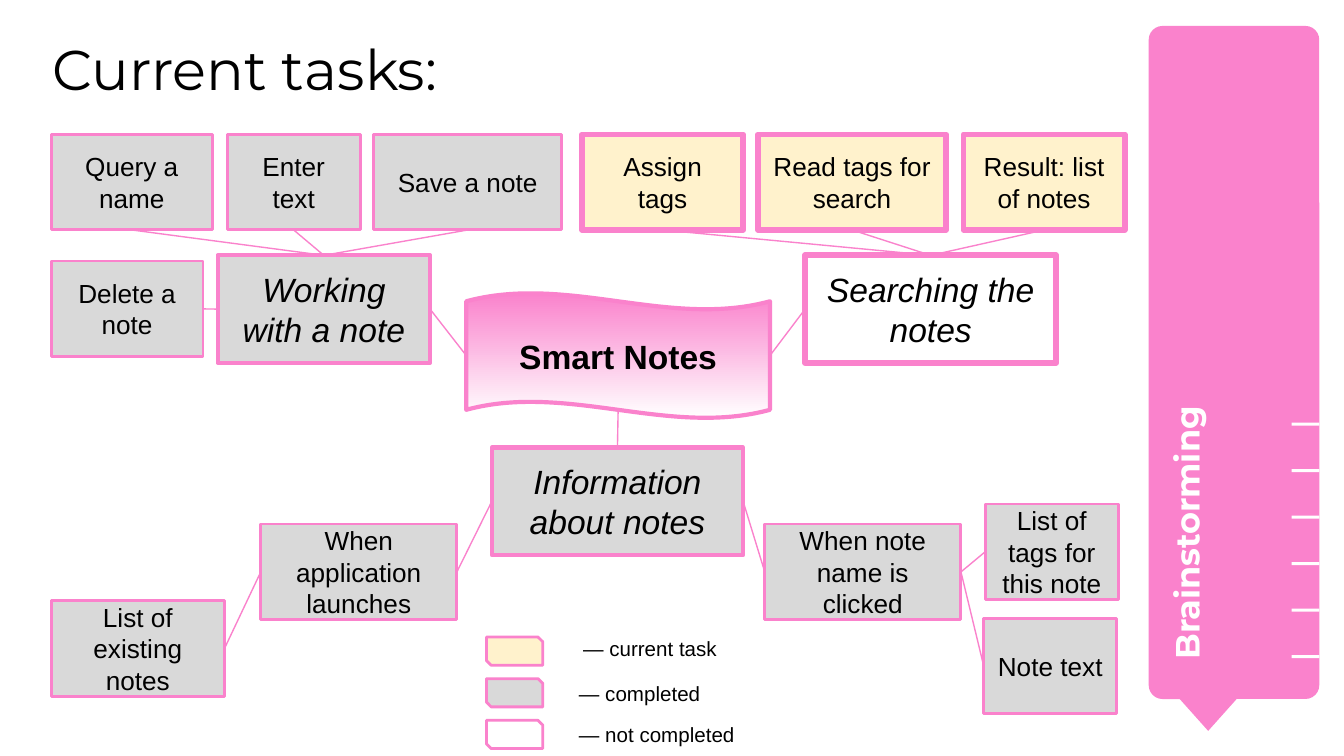
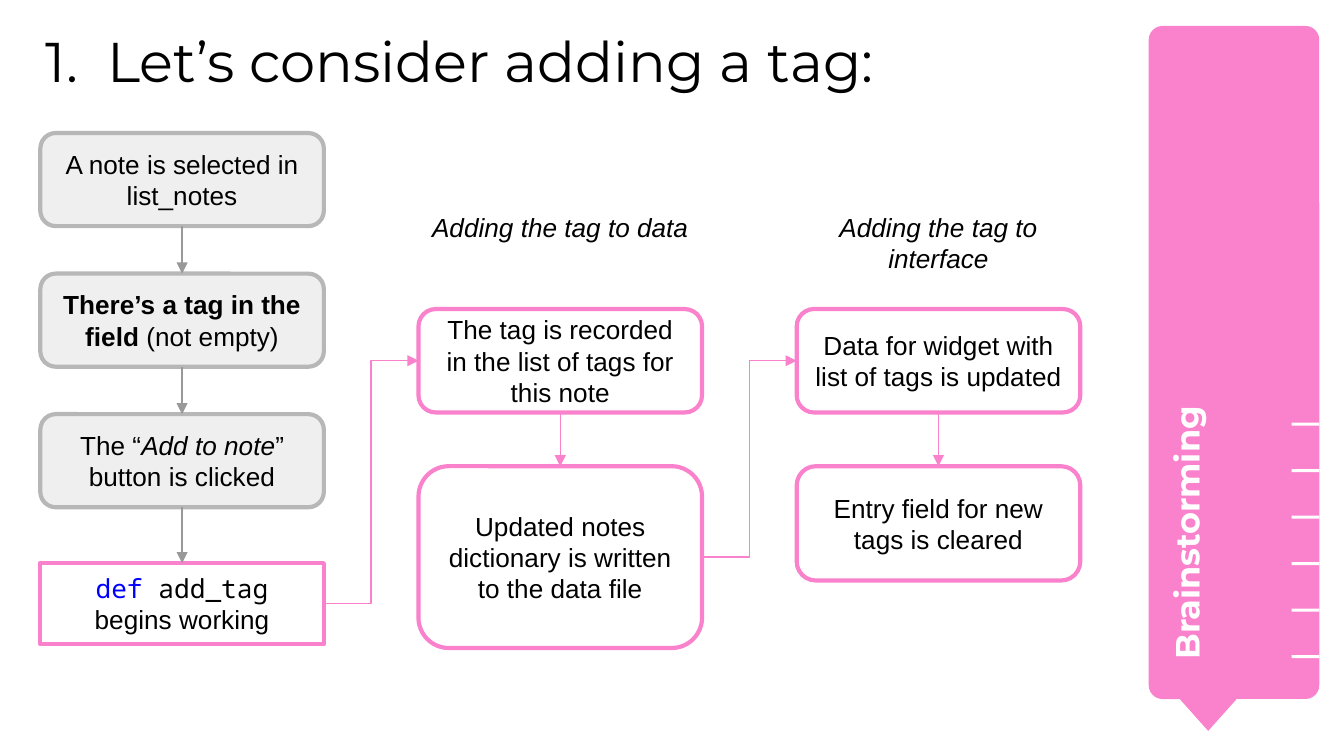
from lxml import etree
from pptx import Presentation
from pptx.dml.color import RGBColor
from pptx.enum.shapes import MSO_CONNECTOR, MSO_SHAPE
from pptx.enum.text import MSO_ANCHOR, MSO_AUTO_SIZE, PP_ALIGN
from pptx.oxml.ns import qn
from pptx.util import Pt

RECT, ROUND = MSO_SHAPE.RECTANGLE, MSO_SHAPE.ROUNDED_RECTANGLE
WAVE, SNIPPED = MSO_SHAPE.WAVE, MSO_SHAPE.SNIP_2_DIAG_RECTANGLE
PROCESS, POINTER = MSO_SHAPE.FLOWCHART_ALTERNATE_PROCESS, MSO_SHAPE.FLOWCHART_MERGE
STRAIGHT, ELBOW = MSO_CONNECTOR.STRAIGHT, MSO_CONNECTOR.ELBOW
LEFT, CENTER = PP_ALIGN.LEFT, PP_ALIGN.CENTER
TOP, MIDDLE = MSO_ANCHOR.TOP, MSO_ANCHOR.MIDDLE
NO_FIT = MSO_AUTO_SIZE.NONE

PINK, WHITE, BLACK, BLUE = "FA82CC", "FFFFFF", "000000", "0000FF"
DONE, CURRENT, OPEN = "D9D9D9", "FFF2CC", WHITE
STEP_FILL, STEP_EDGE, STEP_ARROW = "EFEFEF", "B7B7B7", "999999"
BODY_FONT, HEAD_FONT, CODE_FONT = "Arial", "Montserrat", "Noto Sans Mono"

# Connection sites of a box
AT_TOP, AT_LEFT, AT_BOTTOM, AT_RIGHT = range(4)


def draw(shapes, kind, at, text="", fill=None, line=None, weight=1.5, adjust=(),
         size=14, font=BODY_FONT, color=BLACK, bold=False, italic=False,
         align=CENTER, anchor=MIDDLE, inset=7.2):
    """Draw a preset shape, a text box (kind None) or the title placeholder."""
    left, top, width, height = map(Pt, at)
    if kind == "title":
        shape = shapes.title
        shape.left, shape.top, shape.width, shape.height = left, top, width, height
    elif kind is None:
        shape = shapes.add_textbox(left, top, width, height)
    else:
        shape = shapes.add_shape(kind, left, top, width, height)
        shape.shadow.inherit = False
        for index, value in enumerate(adjust):
            shape.adjustments[index] = value
        if fill:
            shape.fill.solid()
            shape.fill.fore_color.rgb = RGBColor.from_string(fill)
        if line:
            shape.line.color.rgb = RGBColor.from_string(line)
            shape.line.width = Pt(weight)
        else:
            shape.line.fill.background()
    if text:
        frame = shape.text_frame
        frame.word_wrap, frame.auto_size = True, NO_FIT
        frame.vertical_anchor = anchor
        frame.margin_left = frame.margin_right = Pt(inset)
        frame.margin_top = frame.margin_bottom = Pt(inset)
        paragraph = frame.paragraphs[0]
        paragraph.alignment = align
        base = dict(font=font, color=color, bold=bold, italic=italic)
        for words, changes in [(text, {})] if isinstance(text, str) else text:
            style = {**base, **changes}
            run = paragraph.add_run()
            run.text = words
            run.font.size, run.font.name = Pt(size), style["font"]
            run.font.bold, run.font.italic = style["bold"], style["italic"]
            run.font.color.rgb = RGBColor.from_string(style["color"])
    return shape


def link(shapes, start, start_site, end, end_site,
         kind=STRAIGHT, color=PINK, weight=0.75, arrow=False):
    """Join two boxes at the given connection sites."""
    connector = shapes.add_connector(kind, 0, 0, 0, 0)
    connector.begin_connect(start, start_site)
    connector.end_connect(end, end_site)
    connector.line.color.rgb = RGBColor.from_string(color)
    connector.line.width = Pt(weight)
    if arrow:
        etree.SubElement(connector.line._get_or_add_ln(), qn("a:tailEnd"), type="triangle")
    etree.SubElement(connector._element.spPr, qn("a:effectLst"))
    return connector


deck = Presentation()
deck.slide_width, deck.slide_height = Pt(720), Pt(405)
title_only = deck.slide_layouts[5]

# Shared by both slides: pink band with ticks, and the title
pages = []
for heading, place in [("Current tasks:", (28, 18.7, 572, 49.7)),
                       ("Let’s consider adding a tag:", (21.6, 14.4, 581, 49.7))]:
    shapes = deck.slides.add_slide(title_only).shapes
    band = shapes.add_group_shape().shapes
    draw(band, ROUND, (615.4, 13.9, 91.4, 360.6), fill=PINK, adjust=[0.081])
    draw(band, POINTER, (623.5, 365, 47.5, 26.6), fill=PINK)
    label = draw(shapes, None, (514.1, 208.8, 254.9, 48.2), "Brainstorming", size=18,
                 font=HEAD_FONT, color=WHITE, bold=True, align=LEFT, anchor=TOP)
    label.rotation = 270
    for tick in range(6):
        draw(shapes, RECT, (691.9, 226.5 + 24.9 * tick, 14.9, 1.6), fill=WHITE)
    draw(shapes, "title", place, heading, size=30, font=HEAD_FONT,
         align=LEFT, anchor=TOP, inset=0)
    pages.append(shapes)
tasks, tagging = pages

# Slide 1: centre of the mind map
center = draw(tasks, WAVE, (249.8, 157, 162.7, 67), "Smart Notes", line=PINK,
              weight=2.25, adjust=[0.066, 0], size=18, bold=True)
center.fill.gradient()
center.fill.gradient_angle = 270
for stop, shade in zip(center.fill.gradient_stops, (PINK, WHITE)):
    stop.color.rgb = RGBColor.from_string(shade)

# Slide 1: branches
branches = {}
for name, left, top, width, fill, weight in [
        ("Working with a note", 116.6, 136.8, 113.8, DONE, 2.25),
        ("Searching the notes", 431.3, 136.8, 134.6, OPEN, 3),
        ("Information about notes", 263.5, 239.8, 134.6, DONE, 2.25)]:
    branches[name] = draw(tasks, RECT, (left, top, width, 57.6), name, fill=fill,
                          line=PINK, weight=weight, size=18, italic=True)
working, searching, information = branches.values()

# Slide 1: single tasks
leaves = {}
for name, left, top, width, fill in [
        ("Query a name", 27.4, 72, 86.4, DONE),
        ("Enter text", 121.7, 72, 71.3, DONE),
        ("Save a note", 200.2, 72, 100.8, DONE),
        ("Assign tags", 311.8, 72, 86.4, CURRENT),
        ("Read tags for search", 406.1, 72, 100.8, CURRENT),
        ("Result: list of notes", 516.2, 72, 86.4, CURRENT),
        ("Delete a note", 27.4, 139.9, 81.4, DONE),
        ("When application launches", 139.7, 280.8, 105.1, DONE),
        ("List of existing notes", 27.4, 321.8, 92.9, DONE),
        ("When note name is clicked", 409.7, 280.8, 105.1, DONE),
        ("List of tags for this note", 527.8, 270, 71.3, DONE),
        ("Note text", 527, 331.2, 71.3, DONE)]:
    leaves[name] = draw(tasks, RECT, (left, top, width, 51.2), name, fill=fill,
                        line=PINK, weight=3 if fill == CURRENT else 1.5)
(query, enter, save, assign, read, result,
 delete, launch, existing, clicked, note_tags, note_text) = leaves.values()

# Slide 1: links
for branch, children in [(working, (query, enter, save)),
                         (searching, (assign, read, result))]:
    for child in children:
        link(tasks, branch, AT_TOP, child, AT_BOTTOM)
for right_box, left_box in [(center, working), (searching, center), (working, delete),
                            (information, launch), (launch, existing),
                            (clicked, information), (note_tags, clicked),
                            (note_text, clicked)]:
    link(tasks, left_box, AT_RIGHT, right_box, AT_LEFT)
stem = link(tasks, center, AT_BOTTOM, information, AT_TOP)
stem.begin_y = Pt(219.6)  # the wave's lower edge lies above its frame

# Slide 1: legend
for row, (meaning, fill, left, lift) in enumerate([
        ("— current task", CURRENT, 305.3, 1.4),
        ("— completed", DONE, 303.1, 0),
        ("— not completed", OPEN, 303.1, 0)]):
    top = 341.3 + 22.3 * row
    draw(tasks, SNIPPED, (260.6, top, 30.2, 15.1), fill=fill, line=PINK,
         adjust=[0, 0.167])
    draw(tasks, None, (left, top - lift, 134.6, 15.1), meaning, size=11, align=LEFT)

# Slide 2: number before the title
numbering = tagging.title.text_frame.paragraphs[0]._p.get_or_add_pPr()
numbering.set("marL", str(Pt(36)))
numbering.set("indent", str(Pt(-33)))
number_color = etree.SubElement(numbering, qn("a:buClr"))
etree.SubElement(number_color, qn("a:srgbClr"), val=BLACK)
etree.SubElement(numbering, qn("a:buFont"), typeface=HEAD_FONT)
etree.SubElement(numbering, qn("a:buAutoNum"), type="arabicPeriod")

# Slide 2: three columns
columns = [21.6 + 202.6 * column for column in range(3)]
COLUMN_WIDTH = 151.9

# Slide 2: conditions and the function they start
steps = []
for row, condition in enumerate([
        "A note is selected in list_notes",
        [("There’s a tag in the field ", {"bold": True}), ("(not empty)", {})],
        [("The “", {}), ("Add to note", {"italic": True}), ("” button is clicked", {})]]):
    steps.append(draw(tagging, ROUND, (columns[0], 71.3 + 75.3 * row, COLUMN_WIDTH, 49.9),
                      condition, fill=STEP_FILL, line=STEP_EDGE, weight=2.25,
                      adjust=[0.167]))
function = draw(tagging, RECT, (columns[0], 301.7, COLUMN_WIDTH, 43.4),
                [("def", {"font": CODE_FONT, "color": BLUE}),
                 (" add_tag ", {"font": CODE_FONT}), ("begins working", {})],
                fill=WHITE, line=PINK, weight=2.25)
steps.append(function)
for upper, lower in zip(steps, steps[1:]):
    link(tagging, upper, AT_BOTTOM, lower, AT_TOP, color=STEP_ARROW, weight=1.5, arrow=True)

# Slide 2: what the function does, column by column
previous = function
for left, aim, first, second, second_height in [
        (columns[1], "Adding the tag to data",
         "The tag is recorded in the list of tags for this note",
         "Updated notes dictionary is written to the data file", 97.4),
        (columns[2], "Adding the tag to interface",
         "Data for widget with list of tags is updated",
         "Entry field for new tags is cleared", 61.2)]:
    draw(tagging, None, (left, 105.8, COLUMN_WIDTH, 37.4), aim, italic=True, anchor=TOP)
    upper, lower = [
        draw(tagging, PROCESS, (left, top, COLUMN_WIDTH, height), action,
             fill=WHITE, line=PINK, weight=2.25)
        for action, top, height in [(first, 165.6, 55.4), (second, 249.8, second_height)]]
    link(tagging, upper, AT_BOTTOM, lower, AT_TOP, arrow=True)
    link(tagging, previous, AT_RIGHT, upper, AT_LEFT, kind=ELBOW, arrow=True)
    previous = lower

deck.save("out.pptx")
